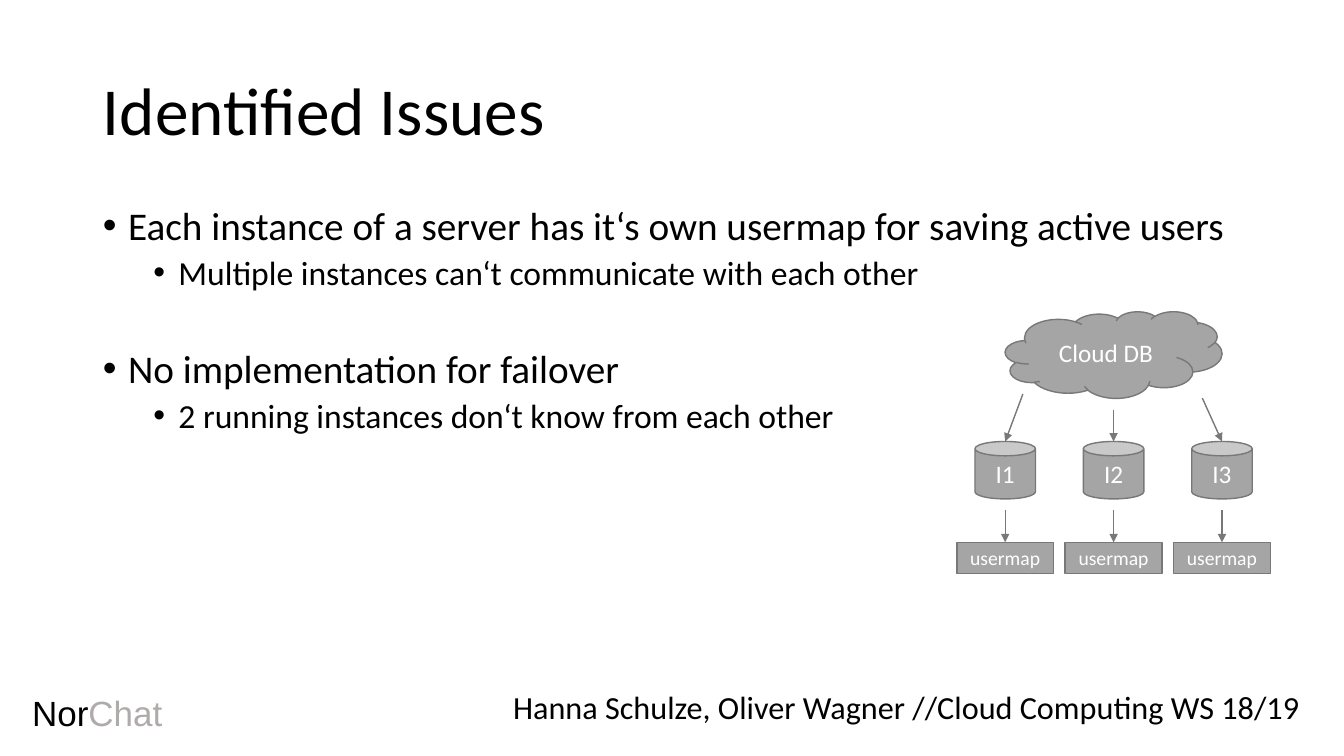
from lxml.etree import SubElement
from pptx import Presentation
from pptx.dml.color import RGBColor
from pptx.enum.shapes import MSO_CONNECTOR, MSO_SHAPE
from pptx.enum.text import MSO_ANCHOR, MSO_AUTO_SIZE, PP_ALIGN
from pptx.oxml.ns import qn
from pptx.util import Inches, Pt

BLACK = RGBColor(0x00, 0x00, 0x00)
WHITE = RGBColor(0xFF, 0xFF, 0xFF)
GREY = RGBColor(0xA5, 0xA5, 0xA5)
OUTLINE = RGBColor(0x78, 0x78, 0x78)
LIGHT = RGBColor(0xAF, 0xAB, 0xAB)

ISSUES = [
    (0, "Each instance of a server has it‘s own usermap for saving active users", 10),
    (1, "Multiple instances can‘t communicate with each other", 5),
    (0, "No implementation for failover", 41),
    (1, "2 running instances don‘t know from each other", 5),
]


def set_font(font, size, color=BLACK, name="Calibri"):
    """Apply name, size and colour to a font."""
    font.name, font.size = name, Pt(size)
    font.color.rgb = color


def place(shape, x, y, w, h):
    """Move a shape to a box given in inches."""
    shape.left, shape.top = Inches(x), Inches(y)
    shape.width, shape.height = Inches(w), Inches(h)


def add_title(s, x, y, w, h):
    """Fill the title placeholder."""
    place(s.shapes.title, x, y, w, h)
    tf = s.shapes.title.text_frame
    tf.text = "Identified Issues"
    tf.auto_size = MSO_AUTO_SIZE.NONE
    tf.vertical_anchor = MSO_ANCHOR.MIDDLE
    p = tf.paragraphs[0]
    p.alignment, p.line_spacing = PP_ALIGN.LEFT, 0.9
    set_font(p.font, 48)


def add_issues(s, x, y, w, h):
    """Fill the body placeholder with the two-level list of issues."""
    body = s.placeholders[1]
    place(body, x, y, w, h)
    tf = body.text_frame
    tf.auto_size = MSO_AUTO_SIZE.NONE
    for i, (level, text, before) in enumerate(ISSUES):
        p = tf.add_paragraph() if i else tf.paragraphs[0]
        p.text, p.level = text, level
        p.line_spacing, p.space_before = 0.9, Pt(before)
        set_font(p.font, 28 - 4 * level)
        pPr = p._p.get_or_add_pPr()
        pPr.set("marL", str(Inches(0.25 + 0.5 * level)))
        pPr.set("indent", str(Inches(-0.25)))
        bullet_font = pPr.makeelement(qn("a:buFont"), {"typeface": "Arial"})
        bullet = pPr.makeelement(qn("a:buChar"), {"char": "•"})
        pPr.find(qn("a:spcBef")).addnext(bullet_font)
        bullet_font.addnext(bullet)


def add_node(s, kind, text, size, x, y, w, h):
    """Add one grey labelled shape of the diagram."""
    sp = s.shapes.add_shape(kind, Inches(x), Inches(y), Inches(w), Inches(h))
    sp.shadow.inherit = False
    sp.fill.solid()
    sp.fill.fore_color.rgb = GREY
    sp.line.color.rgb, sp.line.width = OUTLINE, Pt(1)
    tf = sp.text_frame
    tf.margin_left = tf.margin_right = tf.margin_top = tf.margin_bottom = 0
    tf.vertical_anchor = MSO_ANCHOR.MIDDLE
    p = tf.paragraphs[0]
    p.text, p.alignment = text, PP_ALIGN.CENTER
    set_font(p.font, size, WHITE)
    return sp


def add_arrow(s, x1, y1, x2, y2):
    """Add a thin arrow between two points."""
    c = s.shapes.add_connector(MSO_CONNECTOR.STRAIGHT, Inches(x1), Inches(y1),
                               Inches(x2), Inches(y2))
    c.line.color.rgb, c.line.width = OUTLINE, Pt(1)
    SubElement(c.line._get_or_add_ln(), qn("a:tailEnd"), type="triangle")
    SubElement(c._element.spPr, qn("a:effectLst"))
    return c


def add_diagram(s, x, y, w):
    """Draw the cloud, its instances and their usermaps."""
    mid, pitch = x + w / 2, 1.075
    add_node(s, MSO_SHAPE.CLOUD, "Cloud DB", 18, mid - 1.075, y, 2.15, 0.86)
    starts = [(-0.9, 0.82), (0, 0.98), (0.88, 0.86)]
    for i, (dx, dy) in enumerate(starts):
        cx = mid + (i - 1) * pitch
        add_node(s, MSO_SHAPE.CAN, f"I{i + 1}", 18, cx - 0.3, y + 1.29, 0.6, 0.57)
        add_arrow(s, mid + dx, y + dy, cx, y + 1.29)
        usermap = add_node(s, MSO_SHAPE.RECTANGLE, "usermap", 14,
                           cx - 0.48, y + 2.29, 0.96, 0.31)
        add_arrow(s, cx, y + 1.97, cx, y + 2.29).end_connect(usermap, 0)


def add_text(s, runs, size, name, spacing, x, y, w, h):
    """Add a one-line text box of coloured runs and return its frame."""
    tf = s.shapes.add_textbox(Inches(x), Inches(y), Inches(w), Inches(h)).text_frame
    tf.word_wrap = True
    p = tf.paragraphs[0]
    p.line_spacing = spacing
    for text, color in runs:
        r = p.add_run()
        r.text = text
        set_font(r.font, size, color, name)
    return tf


def add_footer(s, y):
    """Add the project name and the authors' line."""
    authors = "Hanna Schulze, Oliver Wagner //Cloud Computing WS 18/19"
    tf = add_text(s, [(authors, BLACK)], 23, "Calibri", 0.8, 4.99, y, 8.12, 0.43)
    tf.paragraphs[0].space_before = Pt(10)
    tf = add_text(s, [("Nor", BLACK), ("Chat", LIGHT)], 25, "Arial", 0.9,
                  0.22, y, 1.68, 0.51)
    tf.vertical_anchor = MSO_ANCHOR.MIDDLE


def main():
    """Build and save the slide."""
    prs = Presentation()
    prs.slide_width, prs.slide_height = Inches(13.33), Inches(7.5)
    s = prs.slides.add_slide(prs.slide_layouts[1])
    add_title(s, 0.92, 0.4, 11.5, 1.45)
    add_issues(s, 0.92, 2, 11.5, 4.76)
    add_footer(s, 6.84)
    add_diagram(s, 9.49, 3.09, 3.11)
    prs.save("out.pptx")


if __name__ == "__main__":
    main()
